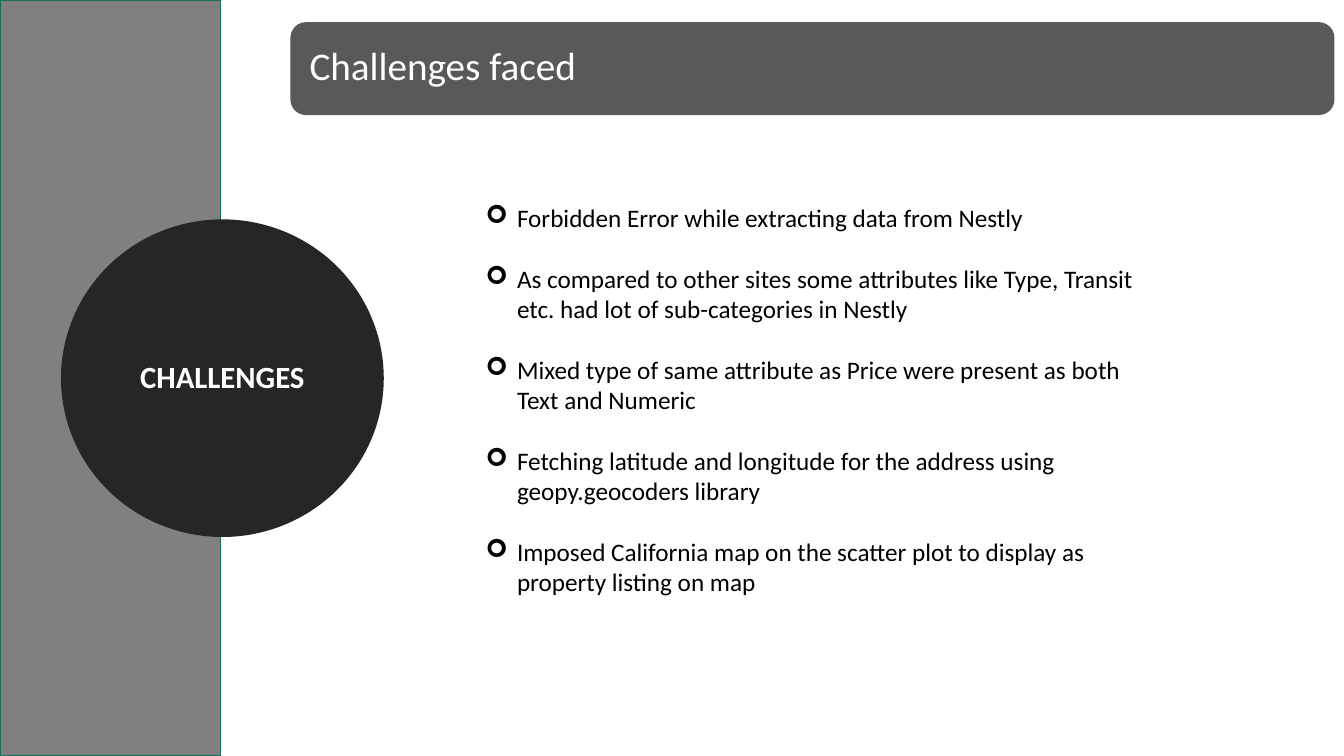
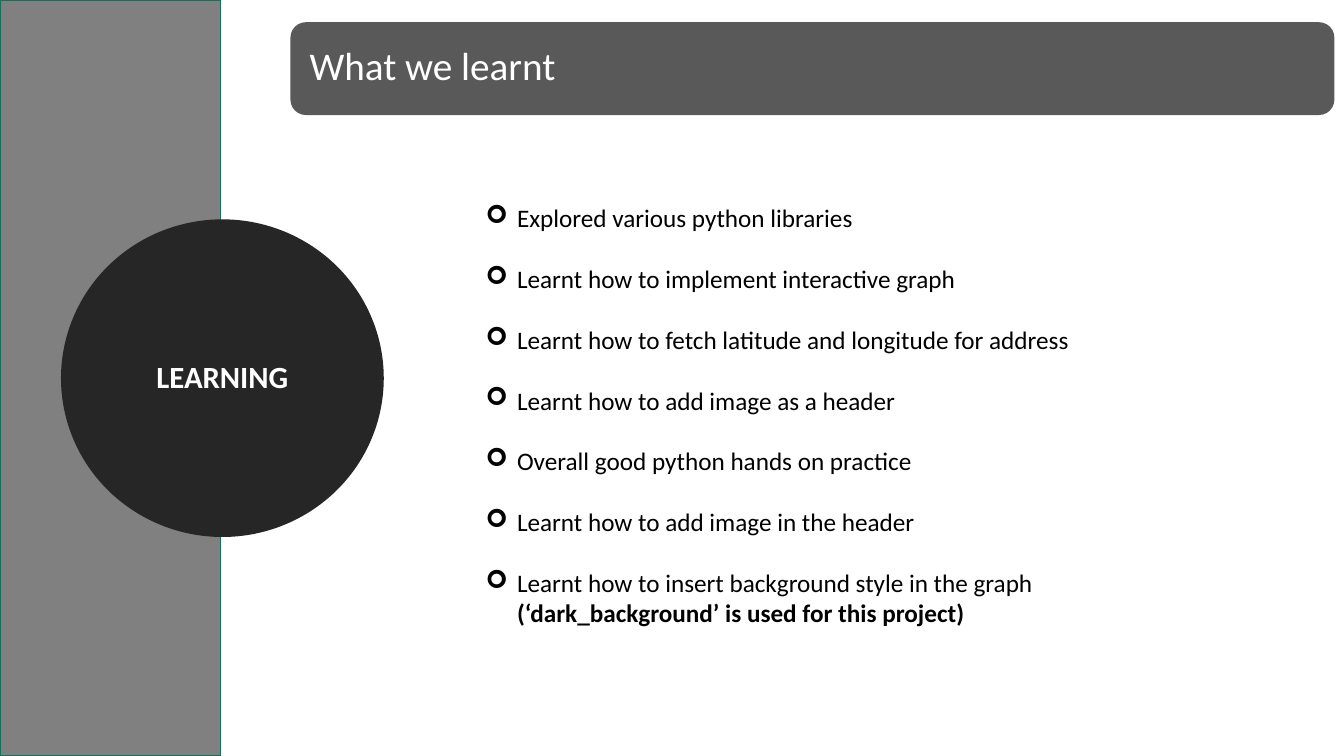
import pptx
import pptx.dml.color
import pptx.enum.shapes
import pptx.enum.text
import pptx.oxml.ns
import pptx.util
from lxml import etree

Cm = pptx.util.Cm
Pt = pptx.util.Pt
RGBColor = pptx.dml.color.RGBColor
MSO_SHAPE = pptx.enum.shapes.MSO_SHAPE
MSO_ANCHOR = pptx.enum.text.MSO_ANCHOR
MSO_AUTO_SIZE = pptx.enum.text.MSO_AUTO_SIZE
PP_ALIGN = pptx.enum.text.PP_ALIGN
qn = pptx.oxml.ns.qn

# Shared colours and text formats
WHITE = RGBColor(0xFF, 0xFF, 0xFF)
BLACK = RGBColor(0x00, 0x00, 0x00)
PANEL_GREY = RGBColor(0x80, 0x80, 0x80)
PANEL_EDGE = RGBColor(0x15, 0x72, 0x59)
CIRCLE_DARK = RGBColor(0x26, 0x26, 0x26)
BAND_GREY = RGBColor(0x59, 0x59, 0x59)

TITLE_FONT = {"name": "Calibri", "size": Pt(28), "bold": False}
TOPIC_FONT = {"name": "Calibri", "size": Pt(22), "bold": True}
BULLET_FONT = {"name": "Calibri", "size": Pt(18)}
TITLE_FRAME = {
    "margin_left": Cm(0.38), "margin_right": Cm(0.38),
    "margin_top": Cm(0.38), "margin_bottom": Cm(0.38),
    "vertical_anchor": MSO_ANCHOR.MIDDLE,
    "auto_size": MSO_AUTO_SIZE.NONE, "word_wrap": True,
}
TITLE_PLACE = {"left": Cm(7.42), "top": Cm(0.66),
               "width": Cm(26.09), "height": Cm(2.11)}
BULLET_INDENT = Cm(0.79)
BULLET_GAP = Pt(21.8)

# Shape, left, top, width, height, fill, edge colour, edge width
BACKDROP = [
    (MSO_SHAPE.RECTANGLE, 0, 0, 5.56, 19.05, PANEL_GREY, PANEL_EDGE, 1),
    (MSO_SHAPE.OVAL, 1.78, 5.77, 7.65, 7.52, CIRCLE_DARK, CIRCLE_DARK, 13.75),
    (MSO_SHAPE.ROUNDED_RECTANGLE, 7.32, 0.56, 26.31, 2.34, BAND_GREY, None, 0),
]

# Each bullet is a list of (text, bold) runs
SLIDES = [
    {
        "title": "Challenges faced",
        "topic": "CHALLENGES",
        "height": Cm(11.02),
        "bullets": [
            [("Forbidden Error while extracting data from Nestly", False)],
            [("As compared to other sites some attributes like Type, Transit "
              "etc. had lot of sub-categories in Nestly", False)],
            [("Mixed type of same attribute as Price were present as both "
              "Text and Numeric", False)],
            [("Fetching latitude and longitude for the address using "
              "geopy.geocoders library", False)],
            [("Imposed California map on the scatter plot to display as "
              "property listing on map", False)],
        ],
    },
    {
        "title": "What we learnt",
        "topic": "LEARNING",
        "height": Cm(14.1),
        "bullets": [
            [("Explored various python libraries", False)],
            [("Learnt how to implement interactive graph", False)],
            [("Learnt how to fetch latitude and longitude for address", False)],
            [("Learnt how to add image as a header", False)],
            [("Overall good python hands on practice", False)],
            [("Learnt how to add image in the header", False)],
            [("Learnt how to insert background style in the graph ", False),
             ("(‘dark_background’ is used for this project)", True)],
        ],
    },
]


def apply_format(target, values):
    for attribute, value in values.items():
        setattr(target, attribute, value)


def add_run(paragraph, text, font_format, color):
    run = paragraph.add_run()
    run.text = text
    apply_format(run.font, font_format)
    run.font.color.rgb = color


presentation = pptx.Presentation()
presentation.slide_width = Cm(33.87)
presentation.slide_height = Cm(19.05)
title_only = presentation.slide_layouts[5]

for content in SLIDES:
    slide = presentation.slides.add_slide(title_only)

    # Side panel, topic circle and title band
    backdrop = []
    for kind, left, top, width, height, fill, edge, edge_width in BACKDROP:
        shape = slide.shapes.add_shape(
            kind, Cm(left), Cm(top), Cm(width), Cm(height))
        shape.shadow.inherit = False
        shape.fill.solid()
        shape.fill.fore_color.rgb = fill
        if edge is None:
            shape.line.fill.background()
        else:
            shape.line.color.rgb = edge
            shape.line.width = Pt(edge_width)
        backdrop.append(shape)
    panel, circle, band = backdrop

    # Topic in the circle
    circle.text_frame.vertical_anchor = MSO_ANCHOR.MIDDLE
    topic = circle.text_frame.paragraphs[0]
    apply_format(topic, {"alignment": PP_ALIGN.CENTER, "line_spacing": 0.9})
    add_run(topic, content["topic"], TOPIC_FONT, WHITE)

    # Title, brought in front of its band
    title = slide.shapes.title
    apply_format(title, TITLE_PLACE)
    apply_format(title.text_frame, TITLE_FRAME)
    heading = title.text_frame.paragraphs[0]
    apply_format(heading, {"alignment": PP_ALIGN.LEFT, "line_spacing": 0.9})
    add_run(heading, content["title"], TITLE_FONT, WHITE)
    slide.shapes.element.append(title.element)

    # Bullet list
    points = slide.shapes.add_textbox(
        Cm(11.99), Cm(4.98), Cm(16.94), content["height"]).text_frame
    points.word_wrap = True
    for number, runs in enumerate(content["bullets"]):
        point = points.add_paragraph() if number else points.paragraphs[0]
        if number:
            point.space_before = BULLET_GAP
        properties = point._p.get_or_add_pPr()
        properties.set("marL", str(BULLET_INDENT))
        properties.set("indent", str(-BULLET_INDENT))
        etree.SubElement(properties, qn("a:buFont"), typeface="Wingdings")
        etree.SubElement(properties, qn("a:buChar"), char="➢")
        for text, bold in runs:
            add_run(point, text, {**BULLET_FONT, "bold": bold}, BLACK)

presentation.save("out.pptx")
